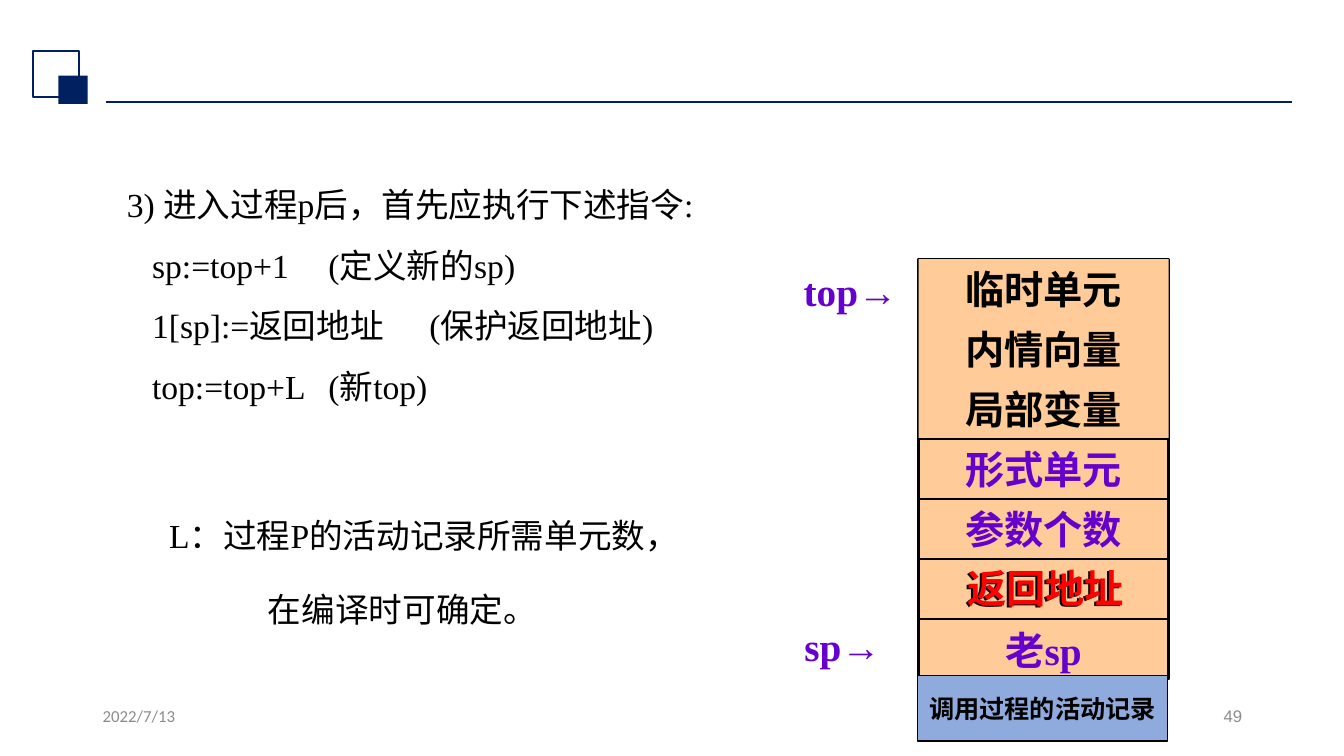
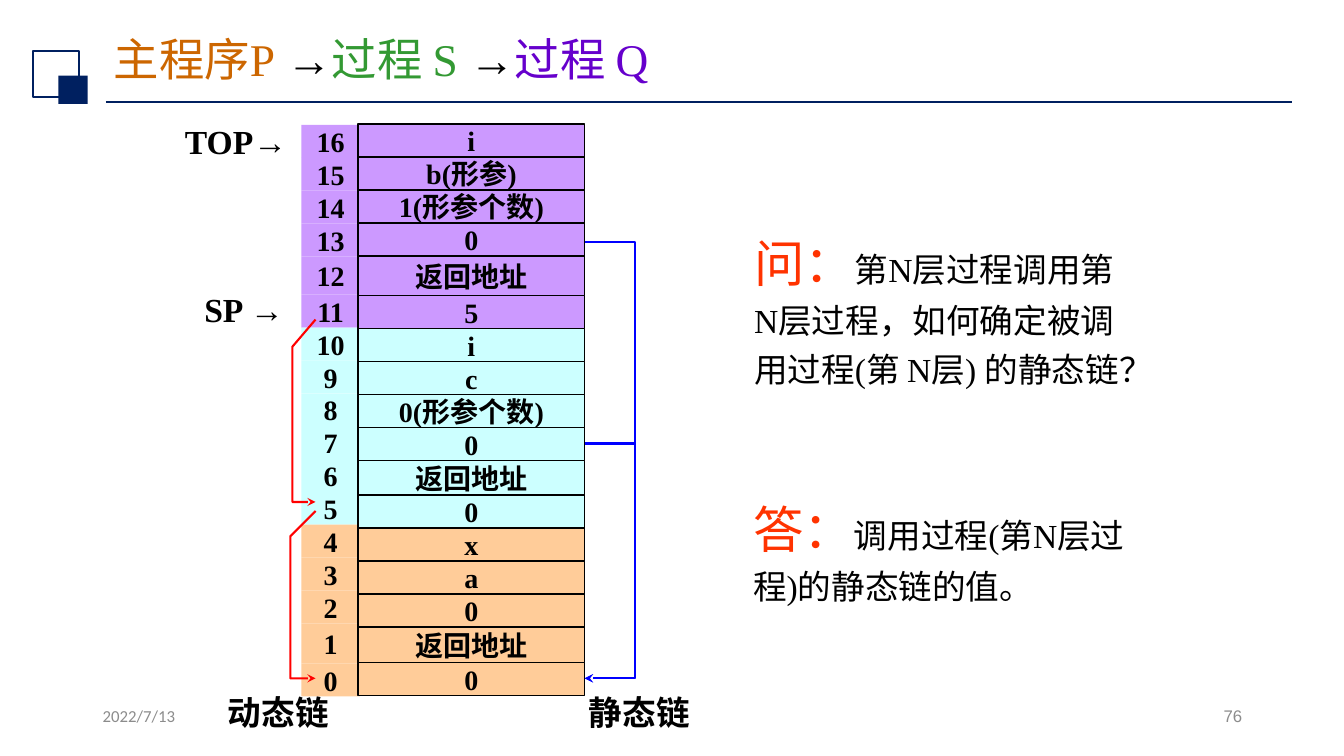
import dataclasses
import typing

import lxml.etree
import pptx
import pptx.dml.color
import pptx.enum.shapes
import pptx.enum.text
import pptx.oxml.ns
import pptx.slide
import pptx.text.text
import pptx.util

Inches = pptx.util.Inches
Pt = pptx.util.Pt
Align = pptx.enum.text.PP_ALIGN
Anchor = pptx.enum.text.MSO_ANCHOR


@dataclasses.dataclass(frozen=True)
class Theme:
    font: str = "Times New Roman"
    date_font: str = "Calibri"
    number_font: str = "Arial"
    navy: str = "002060"
    gray: str = "8C8C8C"
    black: str = "000000"
    violet: str = "6600CC"
    green: str = "339933"
    brown: str = "CC6600"
    red: str = "FF0000"
    orange_red: str = "FF3300"
    blue: str = "0000FF"
    peach: str = "FFCC99"
    cyan: str = "CCFFFF"
    lilac: str = "CC99FF"
    steel: str = "8FAADC"
    footer: float = 12
    caption: float = 18
    cell: float = 20
    body: float = 24
    stack: float = 28
    title: float = 32.4
    lead: float = 36


THEME = Theme()


class Box(typing.NamedTuple):
    left: float
    top: float
    width: float
    height: float


class Run(typing.NamedTuple):
    text: str
    size: float = THEME.body
    color: str = THEME.black
    bold: bool = False
    font: str = THEME.font


class BodyLine(typing.NamedTuple):
    text: str
    indent: float = 0.25
    before: float = 0
    tab: float = 0


class StackRow(typing.NamedTuple):
    text: str
    color: str
    border: float


class MemoryCell(typing.NamedTuple):
    address: int
    content: str
    fill: str


@dataclasses.dataclass(frozen=True)
class Column:
    left: float
    width: float
    top: float
    bottom: float
    border: float
    special_heights: dict[int, float]

    def boxes(self, addresses: list[int]) -> typing.Iterator[Box]:
        regular_count = len(addresses) - len(self.special_heights)
        regular = (self.bottom - self.top - sum(self.special_heights.values())) / regular_count
        top = self.top
        for address in addresses:
            height = self.special_heights.get(address, regular)
            yield Box(self.left, top, self.width, height)
            top += height


class Link(typing.NamedTuple):
    points: list[tuple[float, float]]
    color: str


def rgb(color: str) -> pptx.dml.color.RGBColor:
    return pptx.dml.color.RGBColor.from_string(color)


def place(box: Box) -> list[pptx.util.Length]:
    return [Inches(value) for value in box]


def add_runs(paragraph: pptx.text.text._Paragraph, runs: list[Run]) -> None:
    for item in runs:
        run = paragraph.add_run()
        run.text = item.text
        run.font.name = item.font
        run.font.size = Pt(item.size)
        run.font.bold = item.bold
        run.font.color.rgb = rgb(item.color)


def add_text(slide: pptx.slide.Slide, box: Box, runs: list[Run], align: Align = Align.LEFT,
             anchor: Anchor = Anchor.TOP, wrap: bool = True, spacing: float = 1.0) -> None:
    frame = slide.shapes.add_textbox(*place(box)).text_frame
    frame.word_wrap = wrap
    frame.vertical_anchor = anchor
    paragraph = frame.paragraphs[0]
    paragraph.alignment = align
    paragraph.line_spacing = spacing
    add_runs(paragraph, runs)


def add_label(slide: pptx.slide.Slide, box: Box, run: Run) -> None:
    add_text(slide, box, [run], Align.CENTER, Anchor.MIDDLE, wrap=False)


def add_rectangle(slide: pptx.slide.Slide, box: Box, fill: str = "", border: float = 0,
                  border_color: str = THEME.black, run: Run | None = None) -> None:
    shape = slide.shapes.add_shape(pptx.enum.shapes.MSO_SHAPE.RECTANGLE, *place(box))
    shape.shadow.inherit = False
    if fill:
        shape.fill.solid()
        shape.fill.fore_color.rgb = rgb(fill)
    else:
        shape.fill.background()
    if border:
        shape.line.width = Pt(border)
        shape.line.color.rgb = rgb(border_color)
    else:
        shape.line.fill.background()
    if run:
        frame = shape.text_frame
        frame.word_wrap = False
        frame.margin_top = frame.margin_bottom = 0
        frame.vertical_anchor = Anchor.MIDDLE
        frame.paragraphs[0].alignment = Align.CENTER
        add_runs(frame.paragraphs[0], [run])


def add_link(slide: pptx.slide.Slide, link: Link) -> None:
    points = [(Inches(x), Inches(y)) for x, y in link.points]
    builder = slide.shapes.build_freeform(*points[0])
    builder.add_line_segments(points[1:], close=False)
    shape = builder.convert_to_shape()
    shape.shadow.inherit = False
    shape.fill.background()
    shape.line.width = Pt(1.5)
    shape.line.color.rgb = rgb(link.color)
    line = shape.line._get_or_add_ln()
    lxml.etree.SubElement(line, pptx.oxml.ns.qn("a:tailEnd"), type="stealth")


def add_base_slide(presentation: pptx.presentation.Presentation, number: str) -> pptx.slide.Slide:
    slide = presentation.slides.add_slide(presentation.slide_layouts[6])
    rule = slide.shapes.add_connector(pptx.enum.shapes.MSO_CONNECTOR.STRAIGHT,
                                      Inches(1.05), Inches(1.01), Inches(12.81), Inches(1.01))
    rule.line.width = Pt(1.25)
    rule.line.color.rgb = rgb(THEME.navy)
    properties = rule._element.find(pptx.oxml.ns.qn("p:spPr"))
    lxml.etree.SubElement(properties, pptx.oxml.ns.qn("a:effectLst"))
    add_rectangle(slide, Box(0.33, 0.51, 0.45, 0.45), border=1.5, border_color=THEME.navy)
    add_rectangle(slide, Box(0.58, 0.75, 0.29, 0.28), THEME.navy)
    add_text(slide, Box(0.92, 6.95, 3, 0.4),
             [Run("2022/7/13", THEME.footer, THEME.gray, font=THEME.date_font)])
    add_text(slide, Box(9.42, 6.95, 3, 0.4),
             [Run(number, THEME.footer, THEME.gray, font=THEME.number_font)], Align.RIGHT)
    return slide


def add_body(slide: pptx.slide.Slide, box: Box, lines: list[BodyLine]) -> None:
    frame = slide.shapes.add_textbox(*place(box)).text_frame
    frame.word_wrap = True
    for index, line in enumerate(lines):
        paragraph = frame.add_paragraph() if index else frame.paragraphs[0]
        paragraph.line_spacing = 1.5
        paragraph.space_before = Pt(line.before)
        properties = paragraph._p.get_or_add_pPr()
        properties.set("marL", "0")
        properties.set("indent", str(Inches(line.indent)))
        if line.tab:
            tabs = lxml.etree.SubElement(properties, pptx.oxml.ns.qn("a:tabLst"))
            lxml.etree.SubElement(tabs, pptx.oxml.ns.qn("a:tab"), pos=str(Inches(line.tab)), algn="l")
        add_runs(paragraph, [Run(line.text)])


def build_entry_slide(presentation: pptx.presentation.Presentation) -> None:
    slide = add_base_slide(presentation, "49")
    add_body(slide, Box(1.16, 1.58, 7, 4.51), [
        BodyLine("3) 进入过程p后，首先应执行下述指令:", indent=0),
        BodyLine("sp:=top+1\t(定义新的sp)", tab=3.59),
        BodyLine("1[sp]:=返回地址\t(保护返回地址)", tab=2.94),
        BodyLine("top:=top+L\t(新top)", tab=3.59),
        BodyLine("L：过程P的活动记录所需单元数，", indent=0.42, before=63),
        BodyLine("在编译时可确定。", indent=1.4, before=10),
    ])
    rows = [
        StackRow("临时单元", THEME.black, 0),
        StackRow("内情向量", THEME.black, 0),
        StackRow("局部变量", THEME.black, 0),
        StackRow("形式单元", THEME.violet, 1.5),
        StackRow("参数个数", THEME.violet, 1.5),
        StackRow("返回地址", THEME.black, 1.5),
        StackRow("老sp", THEME.violet, 1.5),
    ]
    record = Box(9.11, 2.57, 2.48, 4.17)
    add_rectangle(slide, record, THEME.peach, 1.5)
    height = record.height / len(rows)
    for index, row in enumerate(rows):
        add_rectangle(slide, Box(record.left, record.top + index * height, record.width, height),
                      THEME.peach, row.border, run=Run(row.text, THEME.stack, row.color, True))
    add_rectangle(slide, Box(9.1, 6.7, 2.48, 0.65), THEME.steel, 1,
                  run=Run("调用过程的活动记录", THEME.caption, bold=True))
    for box, text, color in (
        (Box(9.27, 5.48, 2.2, 0.71), "返回地址", THEME.red),
        (Box(7.61, 2.57, 1.65, 0.63), "top→", THEME.violet),
        (Box(7.53, 6.09, 1.65, 0.63), "sp→", THEME.violet),
    ):
        add_label(slide, box, Run(text, THEME.stack, color, True))


def build_chain_slide(presentation: pptx.presentation.Presentation) -> None:
    slide = add_base_slide(presentation, "76")
    add_text(slide, Box(1.03, 0.31, 11.5, 0.61), [
        Run("主程序P", THEME.title, THEME.brown),
        Run(" →", THEME.title),
        Run("过程 S ", THEME.title, THEME.green),
        Run("→", THEME.title),
        Run("过程 Q", THEME.title, THEME.violet),
    ], anchor=Anchor.MIDDLE, spacing=0.9)

    frames = [
        (THEME.lilac, ["i", "b(形参)", "1(形参个数)", "0", "返回地址", "5"]),
        (THEME.cyan, ["i", "c", "0(形参个数)", "0", "返回地址", "0"]),
        (THEME.peach, ["x", "a", "0", "返回地址", "0"]),
    ]
    contents = [(content, fill) for fill, values in frames for content in values]
    cells = [MemoryCell(len(contents) - 1 - index, content, fill)
             for index, (content, fill) in enumerate(contents)]
    addresses = [cell.address for cell in cells]
    address_column = Column(2.99, 0.58, 1.24, 6.91, 0, {12: 0.38, 1: 0.4})
    content_column = Column(3.55, 2.25, 1.23, 6.9, 1, {12: 0.39, 6: 0.34, 1: 0.35})
    for column, field in ((address_column, "address"), (content_column, "content")):
        for cell, box in zip(cells, column.boxes(addresses)):
            add_rectangle(slide, box, cell.fill, column.border,
                          run=Run(str(getattr(cell, field)), THEME.cell, bold=True))

    for link in (
        Link([(3.13, 5.07), (2.88, 5.32), (2.88, 6.73), (3.13, 6.73)], THEME.red),
        Link([(3.13, 3.17), (2.9, 3.44), (2.9, 4.98), (3.13, 4.98)], THEME.red),
        Link([(5.8, 4.4), (6.3, 4.4), (6.3, 6.73), (5.8, 6.73)], THEME.blue),
        Link([(5.8, 2.4), (6.3, 2.4), (6.3, 6.73), (5.8, 6.73)], THEME.blue),
    ):
        add_link(slide, link)
    for left, top, text in ((1.71, 2.9, "SP →"), (1.63, 1.23, "TOP→"),
                            (2.05, 6.9, "动态链"), (5.63, 6.9, "静态链")):
        add_label(slide, Box(left, top, 1.42, 0.33), Run(text, bold=True))
    for box, lead, text in (
        (Box(7.38, 2.13, 4.02, 1.76), "问：",
         "第N层过程调用第 N层过程，如何确定被调用过程(第 N层) 的静态链？"),
        (Box(7.37, 4.77, 4.02, 1.27), "答：", "调用过程(第N层过程)的静态链的值。"),
    ):
        add_text(slide, box, [Run(lead, THEME.lead, THEME.orange_red), Run(text)], spacing=1.2)


def main() -> None:
    presentation = pptx.Presentation()
    presentation.slide_width = Inches(13.33)
    presentation.slide_height = Inches(7.5)
    build_entry_slide(presentation)
    build_chain_slide(presentation)
    presentation.save("out.pptx")


if __name__ == "__main__":
    main()
